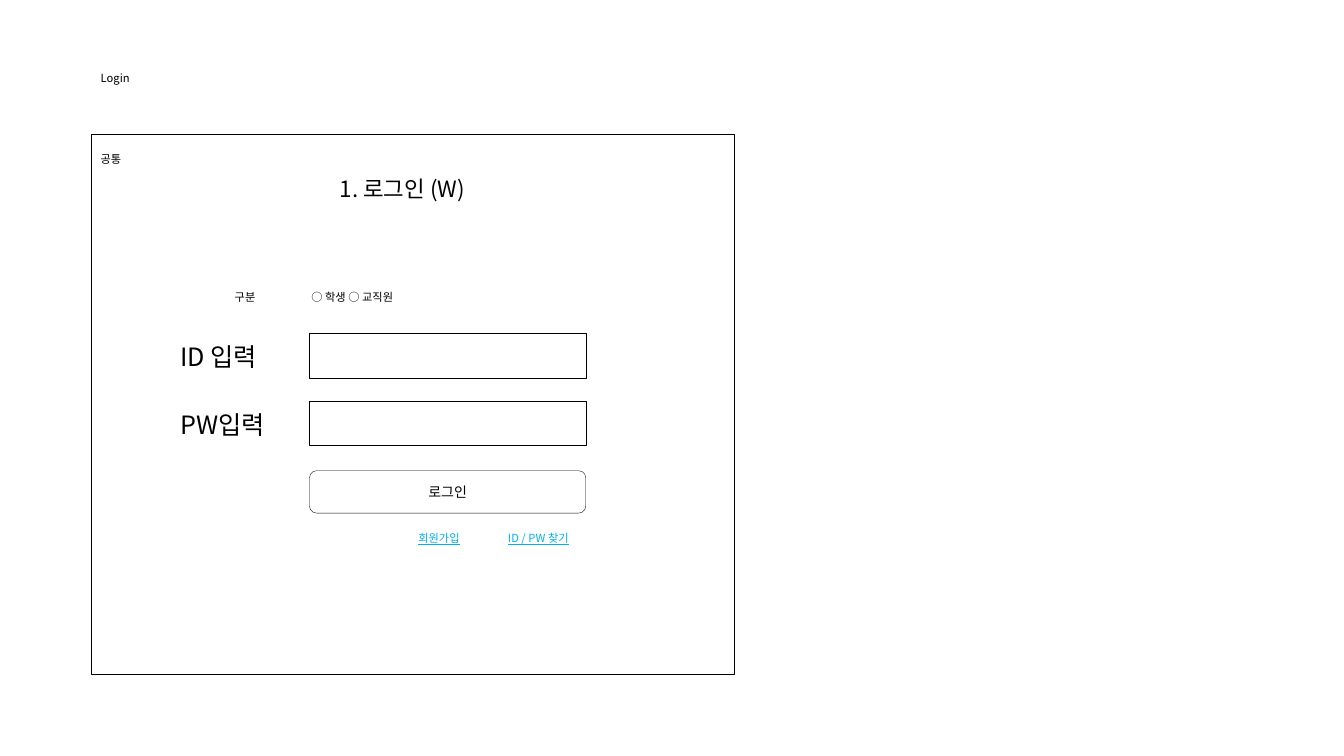
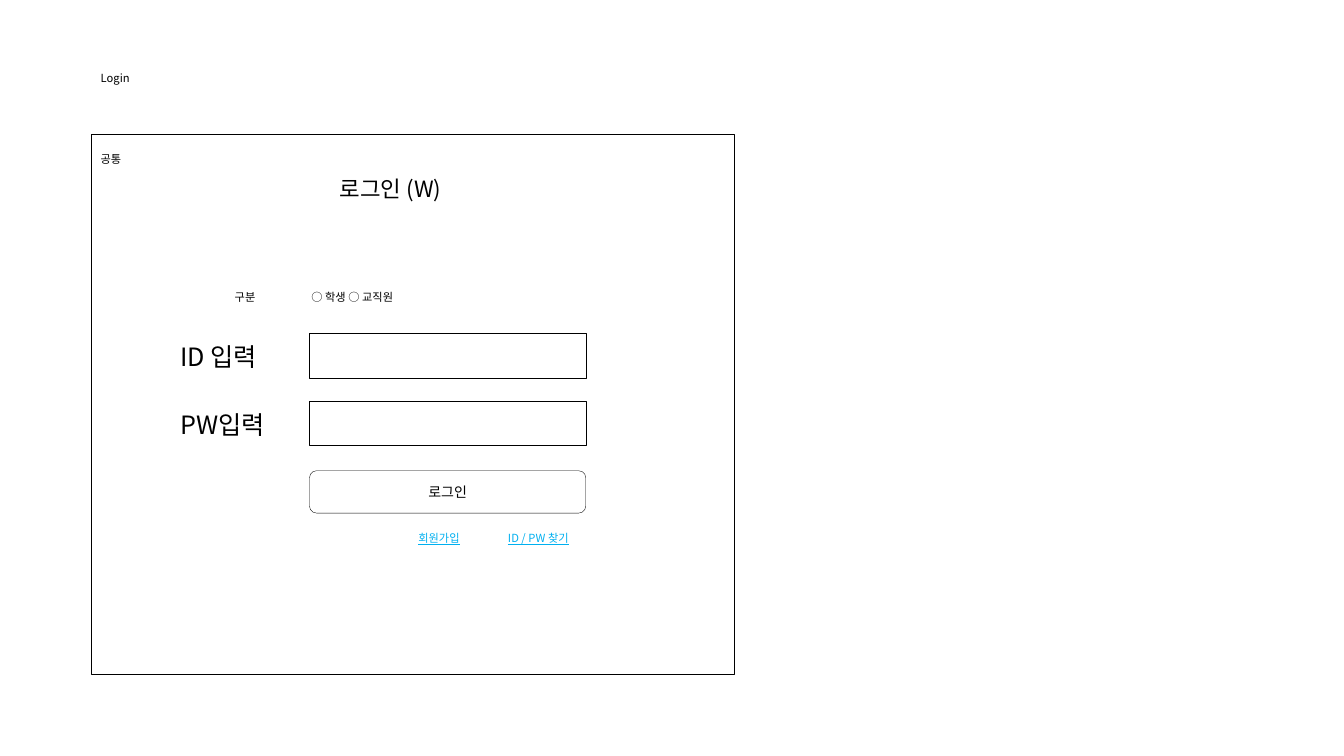
import pptx
import pptx.util
import pptx.dml.color
import pptx.enum.shapes
import pptx.enum.text
import pptx.oxml
import pptx.oxml.ns

BLACK = pptx.dml.color.RGBColor(0x00, 0x00, 0x00)
LINK_BLUE = pptx.dml.color.RGBColor(0x00, 0xB0, 0xF0)
FONT_NAME = "Noto Sans CJK KR"
PX = 9144
SLIDE_SIZE = (1333, 750)

RECT = pptx.enum.shapes.MSO_SHAPE.RECTANGLE
ROUNDED = pptx.enum.shapes.MSO_SHAPE.ROUNDED_RECTANGLE
ANCHOR = pptx.enum.text.MSO_ANCHOR
ALIGN = pptx.enum.text.PP_ALIGN

SMALL = {"size": pptx.util.Pt(8), "color": BLACK}
LINK = {"size": pptx.util.Pt(8), "color": LINK_BLUE, "underline": True}
FIELD = {"size": pptx.util.Pt(18), "color": BLACK}
BUTTON = {"size": pptx.util.Pt(10), "color": BLACK}
TITLE = {"size": pptx.util.Pt(16), "color": BLACK}

LABEL_FRAME = {
    "word_wrap": False,
    "auto_size": pptx.enum.text.MSO_AUTO_SIZE.SHAPE_TO_FIT_TEXT,
    "vertical_anchor": ANCHOR.TOP,
}
BUTTON_FRAME = {"word_wrap": True, "vertical_anchor": ANCHOR.MIDDLE}

SCREENS = [("1. 로그인 (W)", 156), ("로그인 (W)", 130)]
TITLE_LEFT, TITLE_TOP, TITLE_HEIGHT = 327, 169, 37

WINDOW = (90, 133, 638, 536)
INPUT_LEFT, INPUT_WIDTH, INPUT_HEIGHT = 307, 274, 44
FIELD_LEFT, FIELD_HEIGHT = 169, 40
FIELDS = [("ID 입력", 105), ("PW입력", 110)]
FIELD_TOP, FIELD_STEP = 331, 67
LOGIN_BUTTON = ("로그인", (INPUT_LEFT, 467, INPUT_WIDTH, 42))

LABEL_HEIGHT = 24
LABELS = [
    ("Login", 90, 66, 52, SMALL),
    ("회원가입", 405, 522, 65, LINK),
    ("ID / PW 찾기", 494, 522, 87, LINK),
    ("구분", 223, 283, 43, SMALL),
    ("○ 학생 ○ 교직원", 299, 283, 115, SMALL),
    ("공통", 90, 146, 43, SMALL),
]


def emu(box):
    return [value * PX for value in box]


def write(frame, text, font_format, frame_format, align=ALIGN.LEFT):
    for key, value in frame_format.items():
        setattr(frame, key, value)
    paragraph = frame.paragraphs[0]
    paragraph.alignment = align
    run = paragraph.add_run()
    run.text = text
    run.font.name = FONT_NAME
    for key, value in font_format.items():
        if key == "color":
            run.font.color.rgb = value
        else:
            setattr(run.font, key, value)
    east_asian = pptx.oxml.parse_xml(
        f'<a:ea {pptx.oxml.ns.nsdecls("a")} typeface="{FONT_NAME}"/>'
    )
    run.font._element.find(pptx.oxml.ns.qn("a:latin")).addnext(east_asian)


def add_label(slide, text, box, font_format):
    label = slide.shapes.add_textbox(*emu(box))
    write(label.text_frame, text, font_format, LABEL_FRAME)


def add_outline(slide, preset, box):
    outline = slide.shapes.add_shape(preset, *emu(box))
    outline.shadow.inherit = False
    outline.fill.background()
    outline.line.color.rgb = BLACK
    outline.line.width = pptx.util.Pt(0.25)
    return outline


def add_title(slide, text, width):
    title = slide.shapes.title
    box = emu((TITLE_LEFT, TITLE_TOP, width, TITLE_HEIGHT))
    for key, value in zip(("left", "top", "width", "height"), box):
        setattr(title, key, value)
    write(title.text_frame, text, TITLE, LABEL_FRAME)


def add_login_form(slide):
    add_outline(slide, RECT, WINDOW)
    for row, (text, width) in enumerate(FIELDS):
        top = FIELD_TOP + row * FIELD_STEP
        add_outline(slide, RECT, (INPUT_LEFT, top, INPUT_WIDTH, INPUT_HEIGHT))
        add_label(slide, text, (FIELD_LEFT, top + 3, width, FIELD_HEIGHT), FIELD)
    text, box = LOGIN_BUTTON
    button = add_outline(slide, ROUNDED, box)
    write(button.text_frame, text, BUTTON, BUTTON_FRAME, ALIGN.CENTER)
    for text, left, top, width, font_format in LABELS:
        add_label(slide, text, (left, top, width, LABEL_HEIGHT), font_format)


def main():
    deck = pptx.Presentation()
    deck.slide_width, deck.slide_height = emu(SLIDE_SIZE)
    for title, width in SCREENS:
        slide = deck.slides.add_slide(deck.slide_layouts[5])
        add_title(slide, title, width)
        add_login_form(slide)
    deck.save("out.pptx")


if __name__ == "__main__":
    main()
